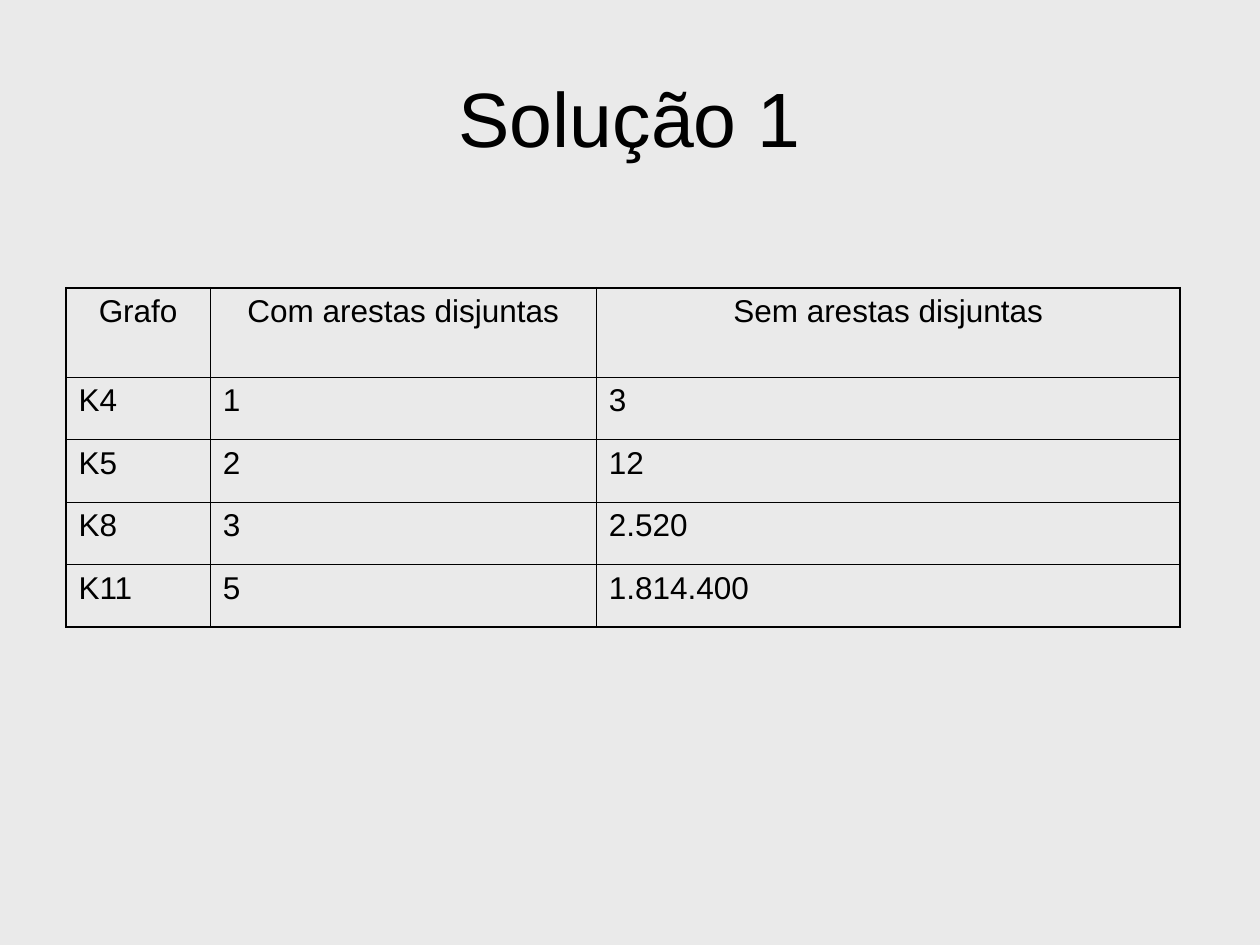
from lxml.etree import SubElement
from pptx import Presentation
from pptx.dml.color import RGBColor
from pptx.enum.text import MSO_ANCHOR, PP_ALIGN
from pptx.oxml.ns import qn
from pptx.util import Cm, Pt


def style(par, size, align):
    par.alignment = align
    font = par.runs[0].font
    font.name = "Arial"
    font.size = Pt(size)
    font.color.rgb = RGBColor.from_string("000000")


def edge(cell, side, width):
    props = cell._tc.get_or_add_tcPr()
    line = SubElement(props, qn(f"a:ln{side}"), w=str(Pt(width)))
    fill = SubElement(line, qn("a:solidFill"))
    SubElement(fill, qn("a:srgbClr"), val="000000")


# Slide and background
prs = Presentation()
prs.slide_width, prs.slide_height = Cm(25.4), Cm(19.05)
slide = prs.slides.add_slide(prs.slide_layouts[6])
back = slide.background.fill
back.solid()
back.fore_color.rgb = RGBColor.from_string("EAEAEA")

# Title
title = slide.shapes.add_textbox(Cm(1.27), Cm(0.76), Cm(22.86), Cm(3.18))
frame = title.text_frame
frame.word_wrap = True
frame.vertical_anchor = MSO_ANCHOR.MIDDLE
frame.text = "Solução 1"
style(frame.paragraphs[0], 44, PP_ALIGN.CENTER)

# Table grid
data = [
    ["Grafo", "Com arestas disjuntas", "Sem arestas disjuntas"],
    ["K4", "1", "3"],
    ["K5", "2", "12"],
    ["K8", "3", "2.520"],
    ["K11", "5", "1.814.400"],
]
widths = [2.91, 7.78, 11.77]
heights = [1.8] + [1.26] * 4
table = slide.shapes.add_table(
    len(data), len(widths), Cm(1.33), Cm(5.8), Cm(sum(widths)), Cm(sum(heights))
).table
table.first_row = table.horz_banding = False
for col, width in zip(table.columns, widths):
    col.width = Cm(width)
for row, height in zip(table.rows, heights):
    row.height = Cm(height)

# Cells: thick outer frame, thin inner lines
thin, thick = 0.45, 1.08
for r, line in enumerate(data):
    for c, text in enumerate(line):
        cell = table.cell(r, c)
        cell.text_frame.text = text
        align = PP_ALIGN.CENTER if r == 0 else PP_ALIGN.LEFT
        style(cell.text_frame.paragraphs[0], 18, align)
        outer = {
            "L": c == 0,
            "R": c == len(widths) - 1,
            "T": r == 0,
            "B": r == len(data) - 1,
        }
        for side, is_outer in outer.items():
            edge(cell, side, thick if is_outer else thin)
        cell.fill.background()

prs.save("out.pptx")
